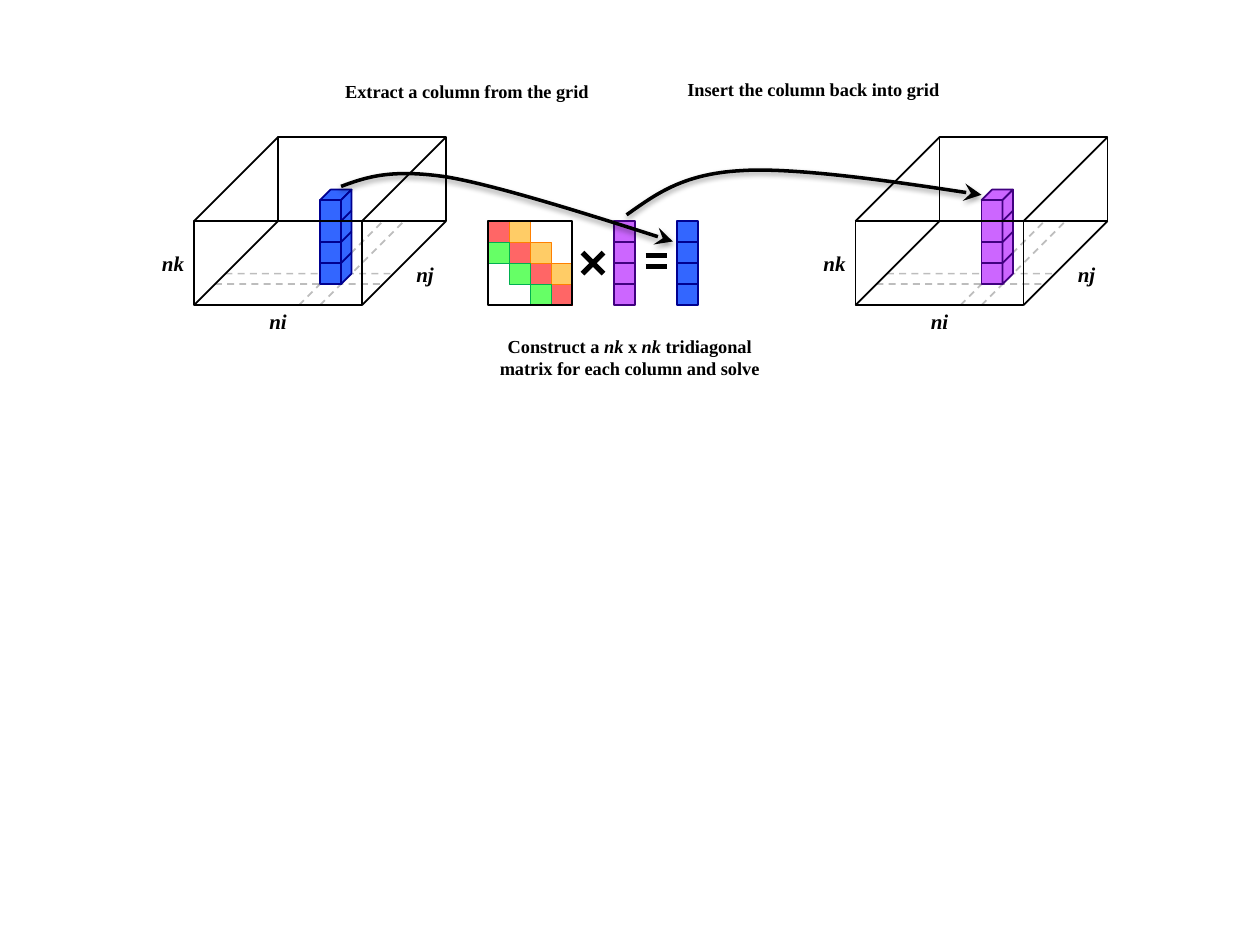
from pptx import Presentation, util as u
from pptx.dml.color import RGBColor
from pptx.enum import shapes as sh, text as tx, dml
from pptx.oxml import parse_xml
from pptx.oxml.ns import qn, nsdecls

# Colours as (fill, line) pairs
BLACK = RGBColor(0x00, 0x00, 0x00)
BLUE = RGBColor(0x33, 0x66, 0xFF), RGBColor(0x00, 0x00, 0x90)
PURPLE = RGBColor(0xCC, 0x66, 0xFF), RGBColor(0x40, 0x00, 0x80)
RED = RGBColor(0xFF, 0x66, 0x66), RGBColor(0xFF, 0x00, 0x00)
GOLD = RGBColor(0xFF, 0xCC, 0x66), RGBColor(0xFF, 0x80, 0x00)
GREEN = RGBColor(0x66, 0xFF, 0x66), RGBColor(0x00, 0xB0, 0x50)
OPEN = None, BLACK

# One grid for the whole slide: a unit is one matrix cell
UNIT = 1 / 6
LEFT, TOP = 1.54, 1.755
RECT = sh.MSO_SHAPE.RECTANGLE
SLANT = sh.MSO_SHAPE.PARALLELOGRAM

prs = Presentation()
prs.slide_width, prs.slide_height = u.Inches(10), u.Inches(7.5)
page = prs.slides.add_slide(prs.slide_layouts[6]).shapes


def spot(at, x, y):
    """Slide position of a grid point, counted from the origin of a region."""
    return (u.Inches(LEFT + (at[0] + x) * UNIT),
            u.Inches(TOP + (at[1] + y) * UNIT))


def size(n):
    return u.Inches(n * UNIT)


def block(at, x, y, w, h, tint, wide=1, kind=RECT):
    item = page.add_shape(kind, *spot(at, x, y), size(w), size(h))
    item.shadow.inherit = False
    fill, edge = tint
    if fill is None:
        item.fill.background()
    else:
        item.fill.solid()
        item.fill.fore_color.rgb = fill
    item.line.color.rgb = edge
    item.line.width = u.Pt(wide)
    return item


def rule(at, x1, y1, x2, y2, color=BLACK, wide=1, faint=False):
    item = page.add_connector(sh.MSO_CONNECTOR.STRAIGHT,
                              *spot(at, x1, y1), *spot(at, x2, y2))
    item.line.color.rgb = color
    item.line.width = u.Pt(wide)
    if faint:
        item.line.dash_style = dml.MSO_LINE.DASH
        tone = item.line.fill._xPr.find(".//" + qn("a:srgbClr"))
        tone.append(parse_xml(f'<a:alpha {nsdecls("a")} val="25000"/>'))
    item._element.spPr.append(parse_xml(f'<a:effectLst {nsdecls("a")}/>'))


def label(at, x, y, w, h, rows, pts, wrap=True):
    """Centred text; each row is a list of (words, italic) pairs."""
    frame = page.add_textbox(*spot(at, x, y), size(w), size(h)).text_frame
    form = dict(margin_left=0, margin_right=0, margin_top=0, margin_bottom=0,
                word_wrap=wrap, vertical_anchor=tx.MSO_ANCHOR.MIDDLE)
    for key, val in form.items():
        setattr(frame, key, val)
    for n, row in enumerate(rows):
        para = frame.add_paragraph() if n else frame.paragraphs[0]
        para.alignment = tx.PP_ALIGN.CENTER
        for words, slope in row:
            run = para.add_run()
            run.text = words
            font = dict(name="Times New Roman", size=u.Pt(pts), bold=True,
                        italic=slope)
            for key, val in font.items():
                setattr(run.font, key, val)
            run.font.color.rgb = BLACK


def captions(at):
    label(at, 13.75, 5, 14, 3,
          [[("Construct a ", False), ("nk", True), (" x ", False),
            ("nk", True), (" tridiagonal", False)],
           [("matrix for each column and solve", False)]], 10.5, False)
    label(at, 7, -7.4, 12, 2.4,
          [[("Extract a column from the grid", False)]], 10.5, False)
    label(at, 23.25, -7.5, 12.5, 2.4,
          [[("Insert the column back into grid", False)]], 10.5, False)


def system(at):
    """Tridiagonal matrix times unknown column equals known column."""
    for line in ((4.5, 1.5, 5.5, 2.5), (4.5, 2.5, 5.5, 1.5),
                 (7.5, 2.15, 8.5, 2.15), (7.5, 1.65, 8.5, 1.65)):
        rule(at, *line, wide=3)
    for x, tint in ((6, PURPLE), (9, BLUE)):
        for y in range(4):
            block(at, x, y, 1, 1, tint)
    for shift, tint in ((0, RED), (1, GOLD), (-1, GREEN)):
        for y in range(4):
            if 0 <= y + shift < 4:
                block(at, y + shift, y, 1, 1, tint, 0.5)
    block(at, 0, 0, 4, 4, OPEN)


def column(at, tint):
    """Stack of four cells, drawn from its front top-left corner."""
    block(at, 0, 0, 1, 4, tint)
    block(at, 0, -0.5, 1.5, 0.5, tint, kind=SLANT).adjustments[0] = 1
    side = block(at, -1, 1.5, 4.5, 0.5, tint, kind=SLANT)
    side.adjustments[0] = 1
    side.rotation = 90
    side._element.spPr.xfrm.set("flipH", "1")
    for y in (1, 2, 3):
        rule(at, 0, y, 1, y, tint[1], 0.25 if y == 1 else 1)
        rule(at, 1.5, y - 0.5, 1, y, tint[1])


def grid(at, tint):
    """Open box with one column inside, from its front top-left corner."""
    for word, place in (("ni", (0, 4, 8, 1.5)), ("nk", (-2, 1, 2, 2)),
                        ("nj", (10, 1.5, 2, 2))):
        label(at, *place, [[(word, True)]], 12)
    # Footprint of the column on the floor
    for line in ((5, 4, 9, 0), (6, 4, 10, 0),
                 (1.5, 2.5, 9.5, 2.5), (1, 3, 9, 3)):
        rule(at, *line, faint=True)
    # Back face and the edges behind the column
    block(at, 4, -4, 8, 4, OPEN)
    for x, y in ((0, 0), (8, 4), (0, 4)):
        rule(at, x, y, x + 4, y - 4)
    column((at[0] + 6, at[1] - 1), tint)
    # Front face and its last edge
    block(at, 0, 0, 8, 4, OPEN)
    rule(at, 8, 0, 12, -4)


def arrow(at, start, *pts):
    """Curved arrow: every three points after the start make one Bézier."""
    pen = page.build_freeform(*spot(at, *start))
    pen.add_line_segments([spot(at, *p) for p in pts], close=False)
    item = pen.convert_to_shape()
    item.fill.background()
    item.line.color.rgb = BLACK
    item.line.width = u.Pt(2)
    props = item._element.spPr
    steps = list(props.iter(qn("a:lnTo")))
    for n in range(0, len(steps), 3):
        curve = parse_xml(f'<a:cubicBezTo {nsdecls("a")}/>')
        steps[n].addprevious(curve)
        for step in steps[n:n + 3]:
            curve.append(step[0])
            step.getparent().remove(step)
    props.find(qn("a:ln")).append(
        parse_xml(f'<a:tailEnd {nsdecls("a")} type="stealth" w="lg" len="lg"/>'))
    props.append(parse_xml(
        f'<a:effectLst {nsdecls("a")}><a:outerShdw blurRad="40000" '
        'dist="20000" dir="5400000" rotWithShape="0"><a:srgbClr val="000000">'
        '<a:alpha val="38000"/></a:srgbClr></a:outerShdw></a:effectLst>'))


HOME = 0, 0
captions(HOME)
system((14, 0))
grid(HOME, BLUE)
grid((31.5, 0), PURPLE)
arrow(HOME, (20.6, -0.3), (21.9, -1.2), (23.2, -2.25), (26.05, -2.4),
      (28.85, -2.6), (37.5, -1.25), (37.5, -1.25))
arrow(HOME, (7, -1.65), (8.2, -2.1), (9.4, -2.5), (12.05, -2.1),
      (14.7, -1.65), (22.8, 0.97), (22.8, 0.97))
prs.save("out.pptx")
